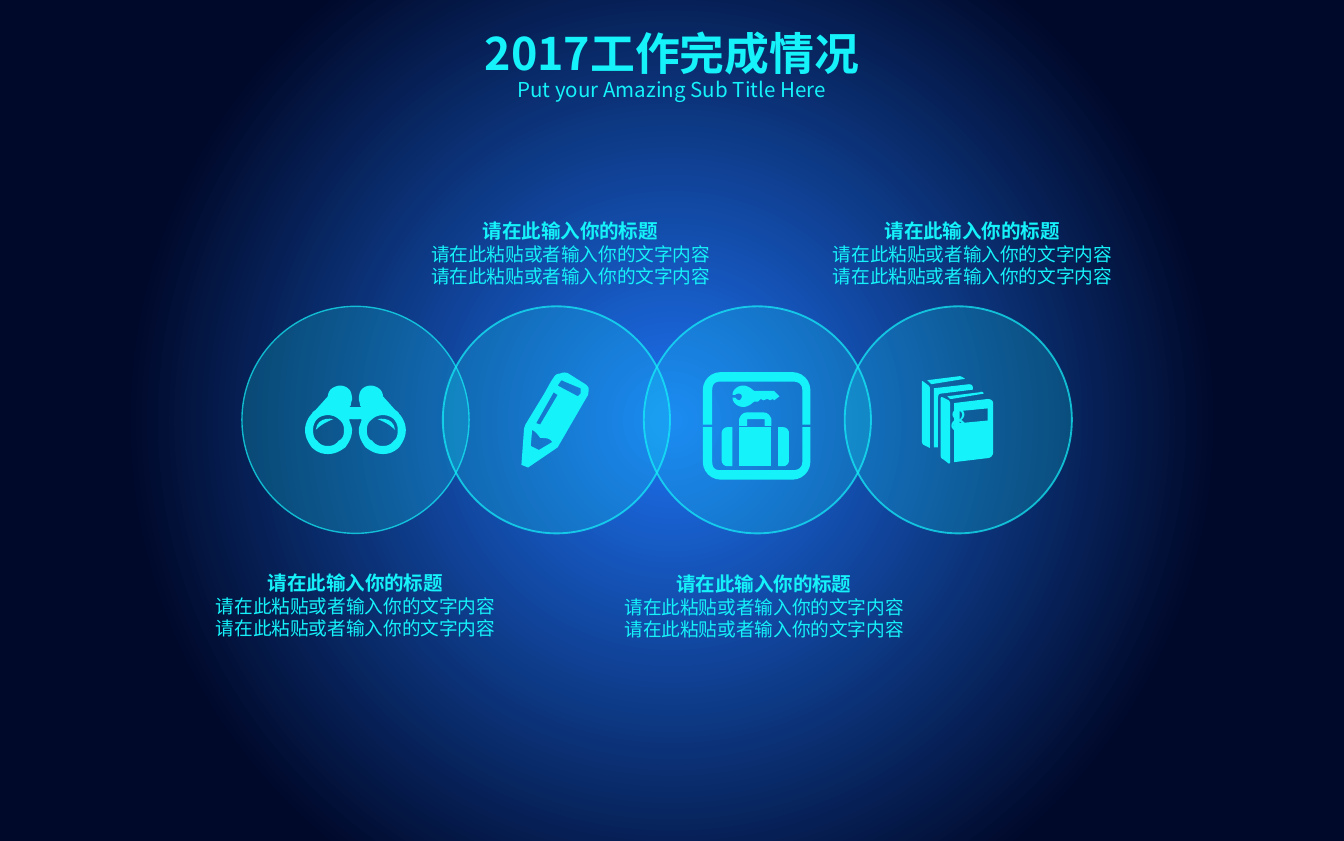
from lxml import etree
from pptx import Presentation, util as u
from pptx.dml.color import RGBColor
from pptx.enum import shapes, text
from pptx.oxml import parse_xml
from pptx.oxml.ns import nsdecls, qn

WIDTH, HEIGHT = 10, 6.26
CYAN = RGBColor(0x15, 0xF2, 0xFA)
BLUE = RGBColor(0x1D, 0x72, 0xF1)
NAVY = RGBColor(0x00, 0x09, 0x2A)
FONT = "Noto Sans CJK SC"

ROW_LEFT, ROW_TOP = 0.18 * WIDTH, 2.28
DIAMETER, PITCH = 1.69, 1.495
UNIT = 0.01
CURVE_STEPS = 6

HEADING = "请在此输入你的标题"
BODY = "请在此粘贴或者输入你的文字内容"
CAPTION = [(HEADING, 10.5, True), (BODY, 10, False), (BODY, 10, False)]
CAPTION_SPOTS = [(1.46, 4.21), (4.5, 4.22), (3.06, 1.59), (6.05, 1.59)]

PENCIL = [
    "M 27 10 L 42 18 44 16 44 12 32 7 30 6 29 7",
    "M 24 15 L 27 17 14 39 11 38",
    "M 8 43 L 7 55 13 58 23 52 C 21 49 18 49 14 49 12 46 10 44 8 43",
    "M 27 56 L 5 71 0 69 2 42 3 39 17 16 22 7 24 4 C 25 2 27 1 29 1 "
    "31 0 33 0 35 1 L 46 8 C 48 9 50 11 50 12 50 14 50 17 49 18",
]
BARREL = [
    "M 17 8 C 17 6 18 4 19 3 21 1 24 0 26 0 29 0 31 1 33 3 34 4 35 7 35 10 "
    "35 11 34 13 34 15 L 33 16 40 16 40 25 33 25 33 26 C 34 29 35 31 35 33 "
    "35 38 33 42 30 46 26 49 22 51 17 51 12 51 8 49 5 46 2 42 0 38 0 33 "
    "0 29 2 24 5 21 6 19 7 19 8 18",
    "M 8 33 C 12 29 16 27 21 25 16 24 9 25 8 33",
    "M 25 25 C 23 23 20 22 17 22 14 22 11 23 9 25 7 27 6 30 6 33 "
    "6 37 7 40 9 41 11 44 14 45 17 45 20 45 23 44 25 41 "
    "28 40 29 37 29 33 29 30 28 27 25 25",
]
BOOKS = [
    "M 9 9 L 35 6 C 37 6 38 7 38 9 L 38 10 14 13 C 12 13 12 15 12 17 L 12 53 9 53",
    "M 28 26 L 28 35 49 33 49 24",
    "M 24 20 L 24 64 49 61 C 51 61 53 59 53 57 L 53 20 C 53 18 51 17 49 17",
    "M 16 16 C 14 15 14 16 14 17 L 14 59 C 14 60 14 61 16 62 L 20 65 "
    "C 21 65 21 65 21 63 L 21 21 C 21 20 21 19 20 18",
    "M 19 15 L 21 17 22 17 46 13 C 46 12 44 11 43 12",
    "M 1 4 L 5 7 C 6 8 6 9 6 10 L 6 52 C 6 53 6 54 5 53 L 1 51 "
    "C 0 50 0 49 0 47 L 0 5 C 0 4 0 3 1 4",
    "M 4 3 L 6 5 7 6 32 2 C 31 1 29 0 28 0",
]
FRAME = [
    "M 7 13 C 7 9 9 7 13 7 L 67 7 C 71 7 74 9 74 13 L 74 39 80 39 80 13 "
    "C 80 6 74 0 67 0 L 13 0 C 6 0 0 6 0 13 L 0 39 7 39",
]
KEY = [
    "M 38 14 C 36 12 33 10 30 10 26 10 22 13 22 17 L 24 17 "
    "C 25 16 26 16 27 16 28 16 29 17 29 18 29 19 28 21 27 21 26 21 25 20 24 19 "
    "L 22 19 C 22 23 26 26 30 26 33 26 36 24 38 22 "
    "L 41 22 43 20 45 21 48 20 50 21 52 20 53 21 57 18 53 14",
]
CASE_SIDE = ["M 18 70 L 22 70 22 41 18 41 C 16 41 14 43 14 45 L 14 66 C 14 68 16 70 18 70"]
CASE_BODY = ["M 27 41 L 51 41 51 70 27 70"]
HANDLE = [
    "M 27 35 L 27 40 33 40 33 35 46 35 46 40 51 40 51 35 "
    "C 50 32 48 30 45 30 L 33 30 C 30 30 28 32 27 35",
]

CIRCLES = [
    (1, 1, "", (0.585, 0.49), [(PENCIL, None, None)]),
    (0, 0.75, "", (0.47, 0.59), [(BARREL, None, None), (BARREL, 75, None)]),
    (3, 1, "8", (0.575, 0.52), [(BOOKS, None, None)]),
    (2, 1, "", (0.44, 0.49), [
        (FRAME, None, None), (FRAME, None, 80), (KEY, None, None),
        (CASE_SIDE, None, None), (CASE_SIDE, 78, None),
        (CASE_BODY, None, None), (HANDLE, None, None)]),
]


def inches(*values):
    return [u.Inches(v) for v in values]


def paint_background(s):
    stops = "".join(
        f'<a:gs pos="{pos}"><a:srgbClr val="{color}"/></a:gs>'
        for pos, color in ((0, BLUE), (69000, NAVY)))
    s._element.cSld.insert(0, parse_xml(
        f'<p:bg {nsdecls("p", "a")}><p:bgPr><a:gradFill><a:gsLst>{stops}</a:gsLst>'
        '<a:path path="circle"><a:fillToRect l="50000" t="50000" r="50000" b="50000"/>'
        '</a:path></a:gradFill><a:effectLst/></p:bgPr></p:bg>'))


def write(p, words, size, bold=False):
    p.alignment = text.PP_ALIGN.CENTER
    r = p.add_run()
    r.text = words
    for name, value in {"name": FONT, "size": u.Pt(size), "bold": bold}.items():
        setattr(r.font, name, value)
    r.font.color.rgb = CYAN
    props = r._r.get_or_add_rPr()
    etree.SubElement(props, qn("a:ea")).set("typeface", FONT)


def add_text(s, box, lines, margin_x=0, margin_y=0):
    tf = s.shapes.add_textbox(*inches(*box)).text_frame
    formats = {
        "word_wrap": True,
        "auto_size": text.MSO_AUTO_SIZE.SHAPE_TO_FIT_TEXT,
        "margin_left": u.Inches(margin_x), "margin_right": u.Inches(margin_x),
        "margin_top": u.Inches(margin_y), "margin_bottom": u.Inches(margin_y),
    }
    for name, value in formats.items():
        setattr(tf, name, value)
    for i, line in enumerate(lines):
        write(tf.add_paragraph() if i else tf.paragraphs[0], *line)


def add_circle(s, left, line_width, label):
    sp = s.shapes.add_shape(
        shapes.MSO_SHAPE.OVAL, *inches(left, ROW_TOP, DIAMETER, DIAMETER))
    sp.shadow.inherit = False
    sp.fill.solid()
    sp.fill.fore_color.rgb = CYAN
    sp.line.color.rgb = CYAN
    sp.line.width = u.Pt(line_width)
    for color, alpha in zip(sp._element.spPr.iter(qn("a:srgbClr")), (20000, 70000)):
        etree.SubElement(color, qn("a:alpha")).set("val", str(alpha))
    if label:
        sp.text_frame.vertical_anchor = text.MSO_ANCHOR.MIDDLE
        write(sp.text_frame.paragraphs[0], label, 16)


def bezier(a, b, c, d):
    for step in range(1, CURVE_STEPS + 1):
        t = step / CURVE_STEPS
        k = 1 - t
        yield tuple(k**3 * a[i] + 3 * k * k * t * b[i] + 3 * k * t * t * c[i] + t**3 * d[i]
                    for i in (0, 1))


def trace(outline):
    points, pending, mode = [], [], "M"
    for token in outline.split():
        if token.isalpha():
            mode = token
            continue
        pending.append(int(token))
        if len(pending) == (6 if mode == "C" else 2):
            pairs = list(zip(pending[::2], pending[1::2]))
            points += bezier(points[-1], *pairs) if mode == "C" else pairs
            pending = []
    return points


def add_icon_part(s, left, top, outlines, flip_x, flip_y):
    def place(x, y):
        x = x if flip_x is None else flip_x - x
        y = y if flip_y is None else flip_y - y
        return u.Inches(left + x * UNIT), u.Inches(top + y * UNIT)

    builder = None
    for outline in outlines:
        start, *rest = [place(x, y) for x, y in trace(outline)]
        if builder is None:
            builder = s.shapes.build_freeform(*start, scale=1.0)
        else:
            builder.move_to(*start)
        builder.add_line_segments(rest, close=True)
    sp = builder.convert_to_shape()
    sp.shadow.inherit = False
    sp.fill.solid()
    sp.fill.fore_color.rgb = CYAN
    sp.line.fill.background()


def main():
    prs = Presentation()
    prs.slide_width, prs.slide_height = inches(WIDTH, HEIGHT)
    s = prs.slides.add_slide(prs.slide_layouts[6])
    paint_background(s)
    add_text(s, (2.05, 0.19, 5.9, 0.4), [("2017工作完成情况", 24, True)])
    add_text(s, (2.9, 0.57, 4.2, 0.18), [("Put your Amazing Sub Title Here", 11)])
    for column, line_width, label, (dx, dy), parts in CIRCLES:
        left = ROW_LEFT + column * PITCH
        add_circle(s, left, line_width, label)
        for part in parts:
            add_icon_part(s, left + dx, ROW_TOP + dy, *part)
    for left, top in CAPTION_SPOTS:
        add_text(s, (left, top, 2.37, 0.59), CAPTION, 0.07, 0.04)
    prs.save("out.pptx")


if __name__ == "__main__":
    main()
